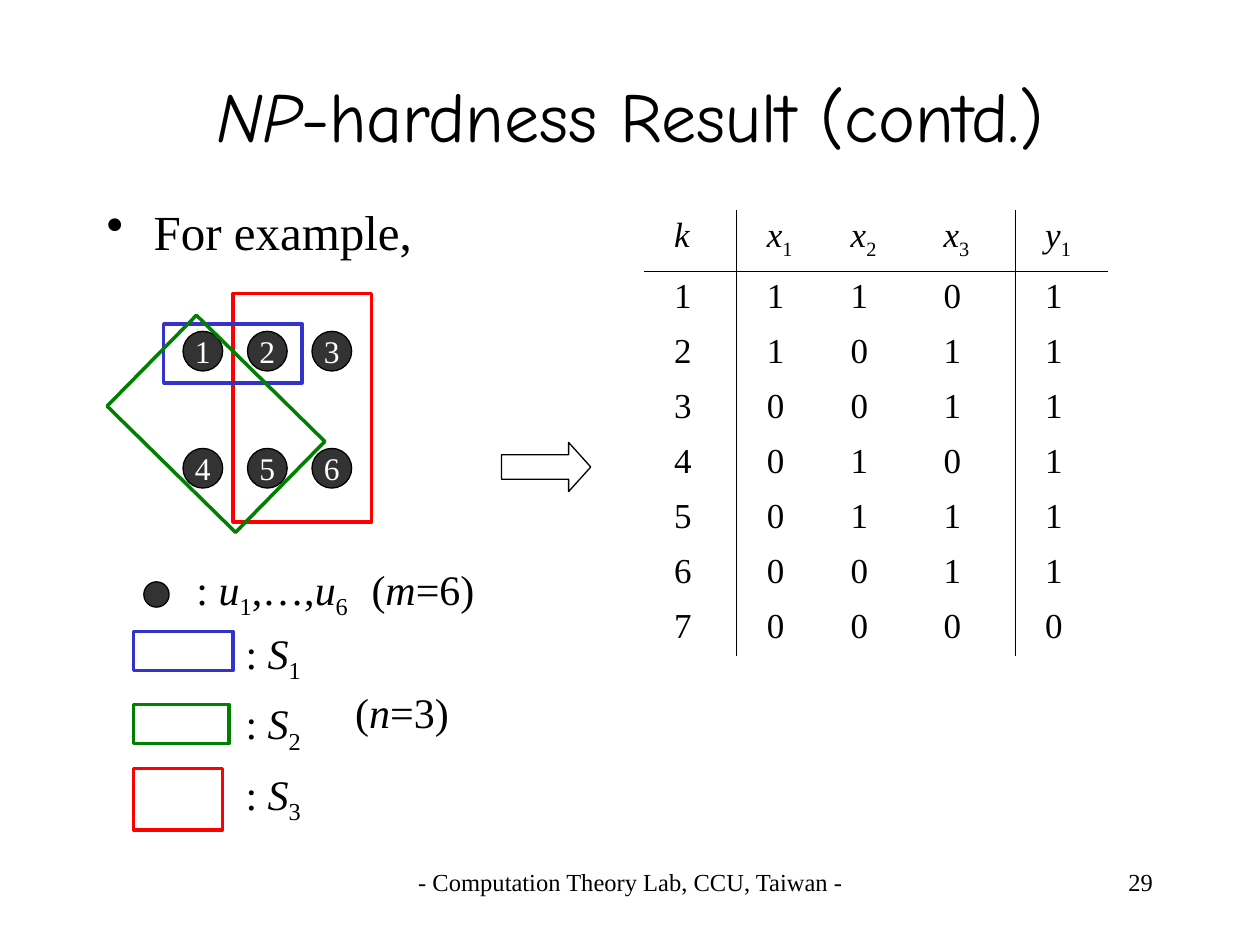
import dataclasses

import pptx
import pptx.dml.color
import pptx.enum.shapes
import pptx.enum.text
import pptx.oxml.ns
import pptx.util
from lxml import etree

Cm = pptx.util.Cm
Pt = pptx.util.Pt
qn = pptx.oxml.ns.qn
SHAPE = pptx.enum.shapes.MSO_SHAPE
ALIGN = pptx.enum.text.PP_ALIGN
ANCHOR = pptx.enum.text.MSO_ANCHOR


@dataclasses.dataclass(frozen=True)
class Theme:
    title_font: str = "Comic Neue"
    font: str = "Times New Roman"
    ink: str = "000000"
    paper: str = "FFFFFF"
    dot: str = "333333"
    set_colors: tuple = ("3333CC", "008000", "FF0000")
    title_size: float = 40
    body_size: float = 28
    legend_size: float = 24
    table_size: float = 20
    dot_size: float = 18
    footer_size: float = 14
    thin: float = 0.75
    thick: float = 2
    table_line: float = 0.45


THEME = Theme()

TRUTH_TABLE = ["1110 1", "2101 1", "3001 1", "4010 1", "5011 1", "6001 1", "7000 0"]


def rgb(value):
    return pptx.dml.color.RGBColor.from_string(value)


def apply(target, formats):
    for name, value in formats.items():
        setattr(target, name, value)


def italic(text):
    return text, "italic"


def subscript(text):
    return text, "subscript"


def indexed(letter, index):
    return [italic(letter), subscript(str(index))]


def write(paragraph, parts, size, color=THEME.ink, font=THEME.font, align=ALIGN.LEFT):
    """Fill a paragraph with plain strings and (text, style) pairs."""
    paragraph.alignment = align
    for part in parts:
        text, style = (part, "plain") if isinstance(part, str) else part
        run = paragraph.add_run()
        run.text = text
        apply(run.font, {"name": font, "size": Pt(size), "italic": style == "italic"})
        run.font.color.rgb = rgb(color)
        if style == "subscript":
            run._r.get_or_add_rPr().set("baseline", "-25000")


def add_text(shapes, box, parts, size, anchor=ANCHOR.TOP, **style):
    text_box = shapes.add_textbox(*map(Cm, box))
    frame = text_box.text_frame
    apply(frame, {"word_wrap": True, "vertical_anchor": anchor})
    write(frame.paragraphs[0], parts, size, **style)
    return frame.paragraphs[0]


def add_outline(shapes, kind, box, color, width, fill=None, rotation=0):
    shape = shapes.add_shape(kind, *map(Cm, box))
    shape.shadow.inherit = False
    shape.rotation = rotation
    if fill:
        shape.fill.solid()
        shape.fill.fore_color.rgb = rgb(fill)
    else:
        shape.fill.background()
    shape.line.color.rgb = rgb(color)
    shape.line.width = Pt(width)
    return shape


def add_dot(shapes, left, top, diameter, label=None):
    box = (left, top, diameter, diameter)
    dot = add_outline(shapes, SHAPE.OVAL, box, THEME.ink, THEME.thin, THEME.dot)
    if label:
        apply(dot.text_frame, {"word_wrap": False, "vertical_anchor": ANCHOR.MIDDLE})
        write(dot.text_frame.paragraphs[0], [label], THEME.dot_size, THEME.paper,
              align=ALIGN.CENTER)


def add_bullet(paragraph, indent):
    properties = paragraph._p.get_or_add_pPr()
    properties.set("marL", str(Cm(indent)))
    properties.set("indent", str(-Cm(indent)))
    etree.SubElement(properties, qn("a:buChar")).set("char", "•")


def add_tab_stop(paragraph, position):
    tabs = etree.SubElement(paragraph._p.get_or_add_pPr(), qn("a:tabLst"))
    stop = etree.SubElement(tabs, qn("a:tab"))
    stop.set("pos", str(Cm(position)))
    stop.set("algn", "l")


def set_borders(cell, drawn_sides):
    properties = cell._tc.get_or_add_tcPr()
    for side in "LRTB":
        line = etree.SubElement(properties, qn(f"a:ln{side}"))
        if side in drawn_sides:
            line.set("w", str(Pt(THEME.table_line)))
            fill = etree.SubElement(line, qn("a:solidFill"))
            etree.SubElement(fill, qn("a:srgbClr")).set("val", THEME.ink)
        else:
            etree.SubElement(line, qn("a:noFill"))


def add_truth_table(shapes):
    header = [[italic("k")], *(indexed("x", i) for i in (1, 2, 3)), indexed("y", 1)]
    rows = [header] + [[[digit] for digit in row.replace(" ", "")] for row in TRUTH_TABLE]
    column_width, header_height, row_height = 1.87, 1.22, 1.11
    column_sides = ["R", "L", "", "R", "L"]
    indents = [0.61, 0.61, 0.43, 0.43, 0.61]

    frame = shapes.add_table(len(rows), len(header), Cm(12.98), Cm(4.24),
                             Cm(column_width * len(header)),
                             Cm(header_height + row_height * len(TRUTH_TABLE)))
    table = frame.table
    apply(table, {"first_row": False, "horz_banding": False})
    for column in table.columns:
        column.width = Cm(column_width)
    for i, row in enumerate(rows):
        table.rows[i].height = Cm(row_height if i else header_height)
        for j, parts in enumerate(row):
            cell = table.cell(i, j)
            cell.margin_left = Cm(indents[j])
            set_borders(cell, column_sides[j] + {0: "B", 1: "T"}.get(i, ""))
            cell.fill.background()
            write(cell.text_frame.paragraphs[0], parts, THEME.table_size)


def add_set_diagram(shapes):
    for i in range(6):
        row, column = divmod(i, 3)
        add_dot(shapes, 3.69 + 1.3 * column, 6.68 + 2.36 * row, 0.8, str(i + 1))
    blue, green, red = THEME.set_colors
    for box, color, rotation in [((4.7, 5.92, 2.79, 4.6), red, 0),
                                 ((3.3, 6.53, 2.79, 1.19), blue, 0),
                                 ((2.54, 7.26, 3.63, 2.57), green, 44.5)]:
        add_outline(shapes, SHAPE.RECTANGLE, box, color, THEME.thick, rotation=rotation)


def add_legend(shapes):
    elements = shapes.add_group_shape().shapes
    add_dot(elements, 2.9, 11.73, 0.51)
    parts = [": ", *indexed("u", 1), ",…,", *indexed("u", 6), "\t(", italic("m"), "=6)"]
    paragraph = add_text(elements, (3.71, 11.23, 7.01, 1.42), parts, THEME.legend_size)
    add_tab_stop(paragraph, 3.53)

    swatches = [(12.73, 2.01, 0.79), (14.2, 1.93, 0.79), (15.49, 1.8, 1.24)]
    for i, (top, width, height) in enumerate(swatches):
        add_outline(shapes, SHAPE.RECTANGLE, (2.69, top, width, height),
                    THEME.set_colors[i], THEME.thick)
        add_text(shapes, (4.7, 12.52 + 1.42 * i, 6.4, 1.42),
                 [": ", *indexed("S", i + 1)], THEME.legend_size)
    add_text(shapes, (6.91, 13.72, 3.99, 1.27), ["(", italic("n"), "=3)"],
             THEME.legend_size)


def main():
    presentation = pptx.Presentation()
    apply(presentation, {"slide_width": Cm(25.4), "slide_height": Cm(19.05)})
    shapes = presentation.slides.add_slide(presentation.slide_layouts[6]).shapes

    add_text(shapes, (1.9, 0.71, 21.6, 3.18), [italic("NP"), "-hardness Result (contd.)"],
             THEME.title_size, ANCHOR.MIDDLE, font=THEME.title_font, align=ALIGN.CENTER)
    example = add_text(shapes, (1.9, 3.94, 22.2, 13), ["For example,"], THEME.body_size)
    add_bullet(example, 0.95)
    add_set_diagram(shapes)
    add_legend(shapes)
    add_truth_table(shapes)
    arrow = add_outline(shapes, SHAPE.RIGHT_ARROW, (10.11, 8.92, 1.8, 0.99),
                        THEME.ink, THEME.thin)
    arrow.adjustments[1] = 0.45
    add_text(shapes, (5.31, 17.35, 14.8, 1.27), ["- Computation Theory Lab, CCU, Taiwan -"],
             THEME.footer_size, align=ALIGN.CENTER)
    add_text(shapes, (18.21, 17.35, 5.28, 1.27), ["29"], THEME.footer_size,
             align=ALIGN.RIGHT)
    presentation.save("out.pptx")


if __name__ == "__main__":
    main()
